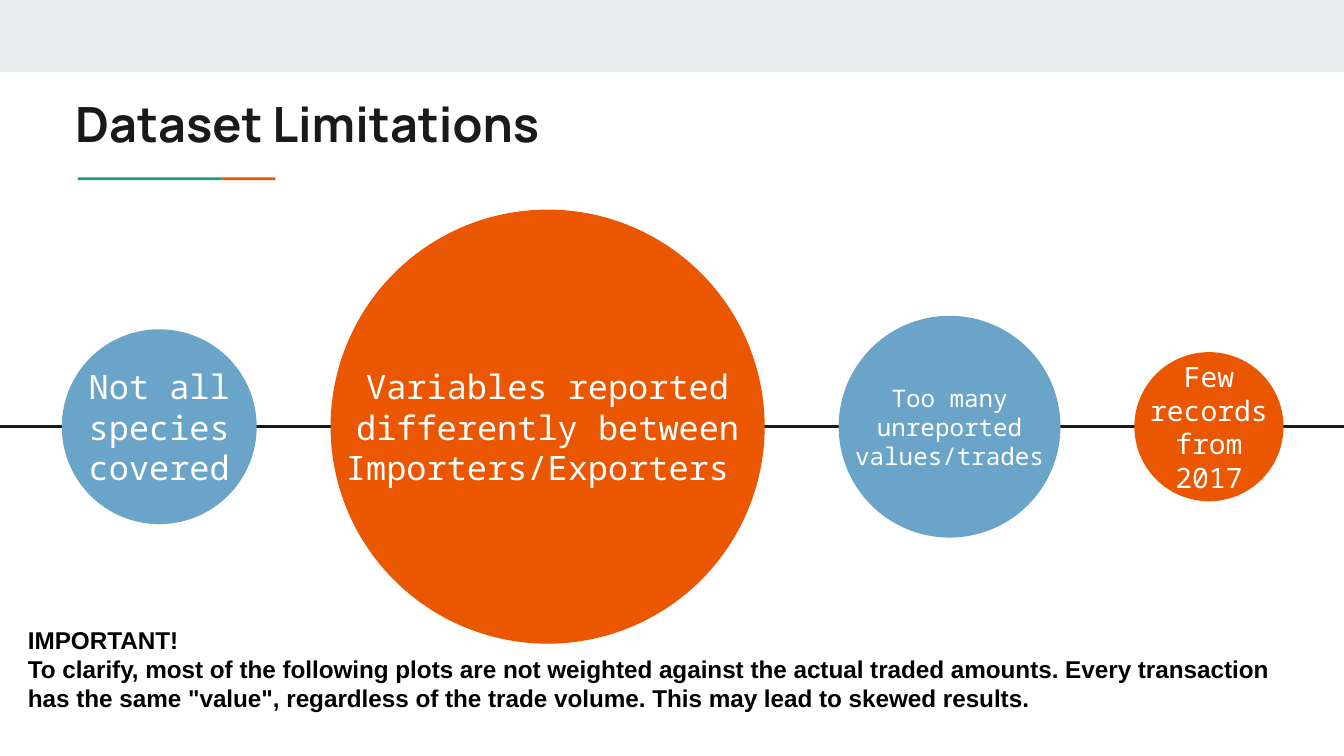
import pptx
import pptx.util
from lxml import etree
from pptx.dml.color import RGBColor
from pptx.enum.shapes import MSO_CONNECTOR, MSO_SHAPE
from pptx.enum.text import MSO_ANCHOR, MSO_AUTO_SIZE, PP_ALIGN
from pptx.oxml.ns import qn

W = 10
H = W * 9 / 16
AXIS_Y = 3.175
COLORS = {"band": "E9EDEE", "ink": "1A1A1A", "teal": "1A9988", "orange": "EB5600",
          "blue": "6AA4C8", "white": "FFFFFF", "black": "000000"}
TITLE = {"name": "Manrope", "size": 26, "bold": True, "color": "ink"}
LABEL = {"name": "Noto Sans Mono", "color": "white"}
NOTE = {"name": "Arial", "size": 13, "bold": True, "color": "black"}

# diameter, colour, text size, label
LIMITATIONS = [
    (1.45, "blue", 18, "Not all species covered"),
    (3.23, "orange", 18, "Variables reported differently between Importers/Exporters "),
    (1.65, "blue", 13, "Too many unreported values/trades"),
    (1.11, "orange", 15, "Few records from 2017"),
]
IMPORTANT = [
    "IMPORTANT!",
    "To clarify, most of the following plots are not weighted against the actual traded "
    "amounts. Every transaction has the same \"value\", regardless of the trade volume. "
    "This may lead to skewed results.",
]


def inches(*lengths):
    return [pptx.util.Inches(v) for v in lengths]


def rgb(name):
    return RGBColor.from_string(COLORS[name])


def add_filled(s, kind, box, color):
    sp = s.shapes.add_shape(kind, *inches(*box))
    sp.shadow.inherit = False
    sp.fill.solid()
    sp.fill.fore_color.rgb = rgb(color)
    sp.line.fill.background()


def write(sp, lines, fmt, align=PP_ALIGN.LEFT, anchor=MSO_ANCHOR.MIDDLE):
    tf = sp.text_frame
    frame = {"word_wrap": True, "auto_size": MSO_AUTO_SIZE.NONE, "vertical_anchor": anchor}
    frame.update(dict.fromkeys(
        ("margin_left", "margin_top", "margin_right", "margin_bottom"), pptx.util.Inches(0.1)))
    for key, value in frame.items():
        setattr(tf, key, value)
    for i, line in enumerate(lines):
        p = tf.add_paragraph() if i else tf.paragraphs[0]
        p.alignment = align
        r = p.add_run()
        r.text = line
        for key, value in fmt.items():
            if key == "color":
                r.font.color.rgb = rgb(value)
            else:
                setattr(r.font, key, pptx.util.Pt(value) if key == "size" else value)


def add_header(s, box):
    """Top band, title and two-colour rule; the band fills the box's upper part."""
    x, y, w, h = box
    add_filled(s, MSO_SHAPE.RECTANGLE, (x, y, w, 0.4 * h), "band")
    left, rule_y, rule_h = x + 0.58, y + h - 0.02, 0.02
    add_filled(s, MSO_SHAPE.RECTANGLE, (left, rule_y, 1.07, rule_h), "teal")
    add_filled(s, MSO_SHAPE.RECTANGLE, (left + 1.07, rule_y, 0.4, rule_h), "orange")
    title = s.shapes.title
    title.left, title.top, title.width, title.height = inches(x + 0.46, y + 0.6, 8.41, 0.59)
    write(title, ["Dataset Limitations"], TITLE, anchor=MSO_ANCHOR.TOP)


def add_axis(s, x1, x2, y):
    line = s.shapes.add_connector(MSO_CONNECTOR.STRAIGHT, *inches(x1, y, x2, y))
    line.line.color.rgb = rgb("ink")
    line.line.width = pptx.util.Pt(1.5)
    etree.SubElement(line._element.spPr, qn("a:effectLst"))


def add_bubbles(s, box):
    """Circles centred on the box's middle line, with equal gaps across its width."""
    x, y, w, h = box
    gap = (w - sum(item[0] for item in LIMITATIONS)) / (len(LIMITATIONS) - 1)
    middle, label_h = y + h / 2, 0.66
    for d, color, size, label in LIMITATIONS:
        add_filled(s, MSO_SHAPE.OVAL, (x, middle - d / 2, d, d), color)
        tb = s.shapes.add_textbox(*inches(x, middle - label_h / 2, d, label_h))
        write(tb, [label], {**LABEL, "size": size}, PP_ALIGN.CENTER)
        x += d + gap


def add_note(s, box):
    write(s.shapes.add_textbox(*inches(*box)), IMPORTANT, NOTE)


def main():
    prs = pptx.Presentation()
    prs.slide_width, prs.slide_height = inches(W, H)
    s = prs.slides.add_slide(prs.slide_layouts[5])
    add_header(s, (0, 0, W, 1.34))
    add_axis(s, 0, W, AXIS_Y)
    add_bubbles(s, (0.46, AXIS_Y - 1.62, 9.09, 3.24))
    add_note(s, (0.11, 4.42, 9.56, 1.11))
    prs.save("out.pptx")


if __name__ == "__main__":
    main()
